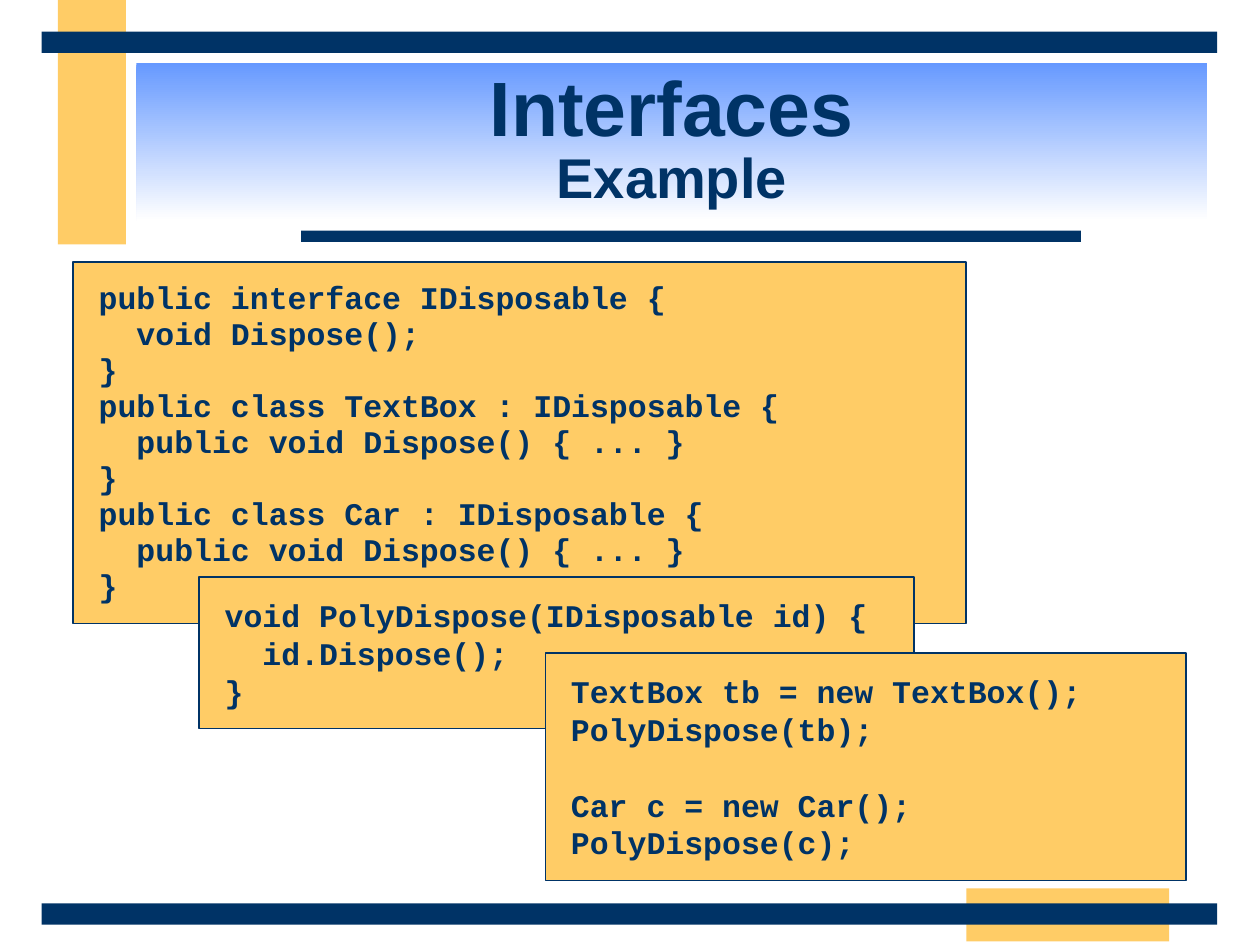
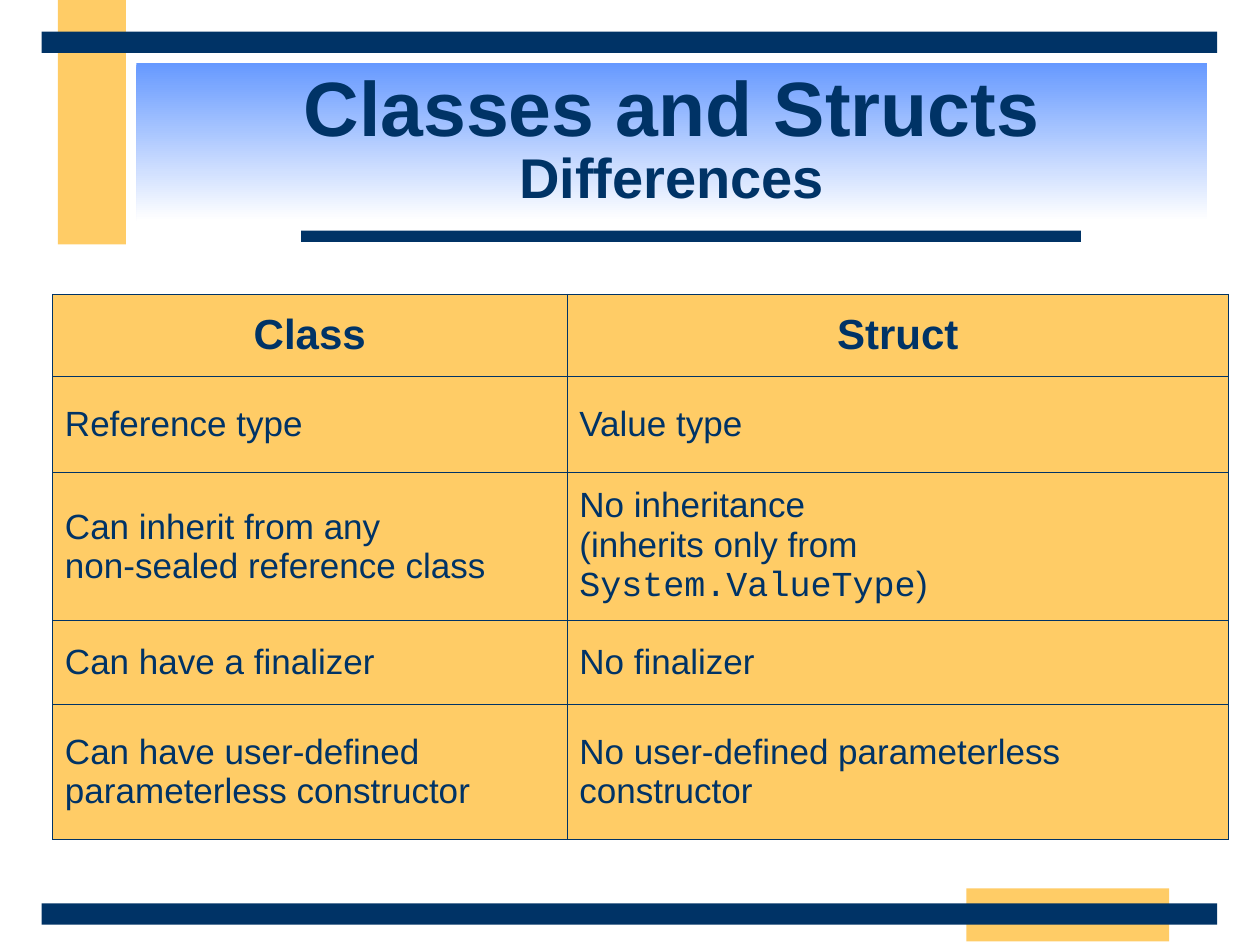
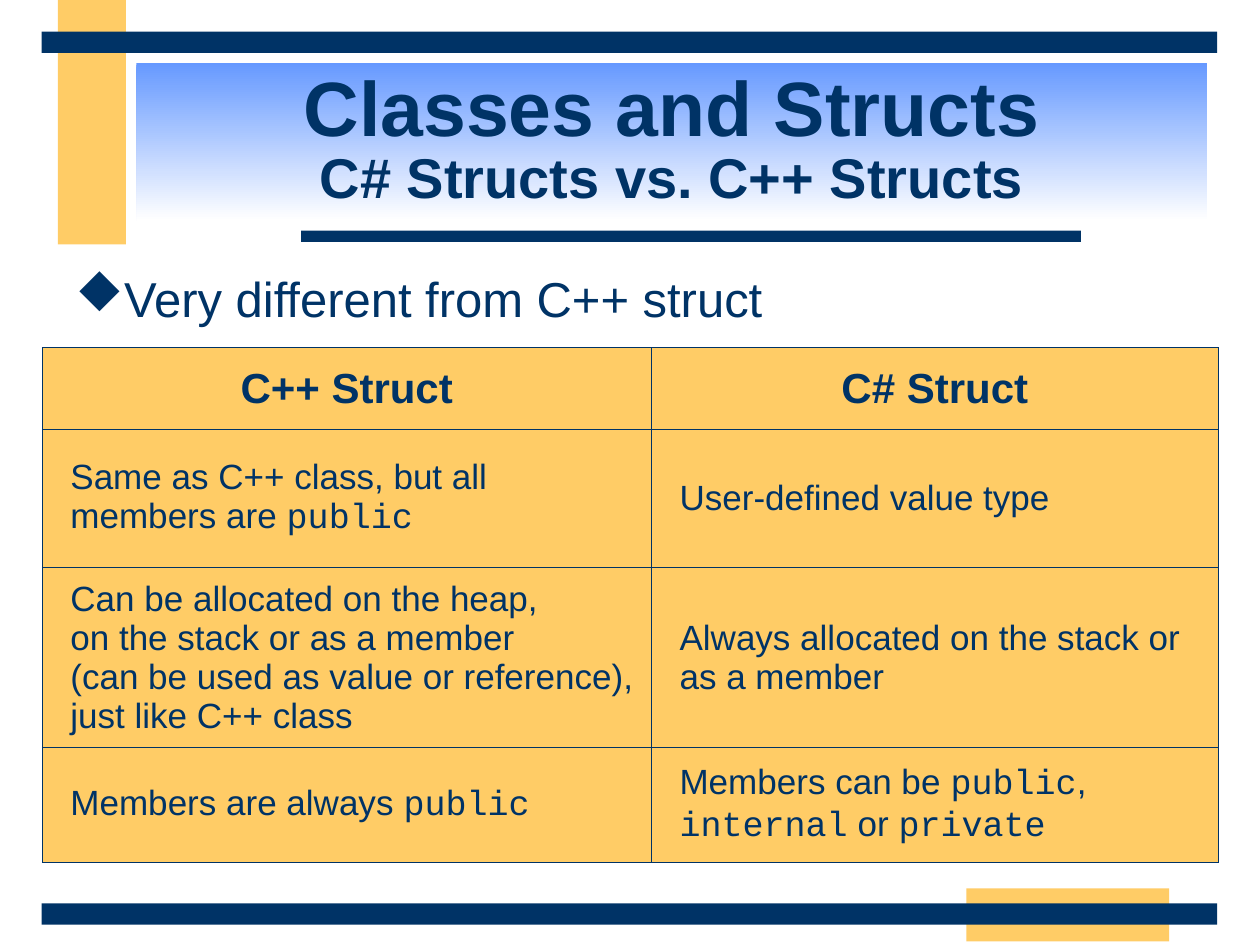
from lxml import etree
from pptx import Presentation
from pptx import util as u
from pptx.dml.color import RGBColor
from pptx.enum import shapes, text
from pptx.oxml import ns

NAVY = RGBColor(0x00, 0x33, 0x66)
AMBER = RGBColor(0xFF, 0xCC, 0x66)
SKY = RGBColor(0x66, 0x99, 0xFF)
WHITE = RGBColor(0xFF, 0xFF, 0xFF)
SANS, MONO = "Arial", "Courier New"
DIAMOND_FONT, DIAMOND = "Wingdings", "u"

BANDS = [
    (AMBER, 1.17, 0, 1.37, 4.93),
    (AMBER, 19.48, 17.91, 4.09, 1.07),
    (NAVY, 6.07, 4.65, 15.72, 0.23),
    (NAVY, 0.84, 18.21, 23.7, 0.43),
    (NAVY, 0.84, 0.64, 23.7, 0.43),
]
TITLE_BOX = (2.75, 1.27, 21.59, 3.18)
CODE_LINE_HEIGHT = u.Pt(21.6)

INTERFACE_CODE = """public interface IDisposable {
  void Dispose();
}
public class TextBox : IDisposable {
  public void Dispose() { ... }
}
public class Car : IDisposable {
  public void Dispose() { ... }
}"""
POLY_CODE = """void PolyDispose(IDisposable id) {
  id.Dispose();
}"""
USAGE_CODE = """TextBox tb = new TextBox();
PolyDispose(tb);

Car c = new Car();
PolyDispose(c);"""

SLIDES = [
    {
        "title": ("Interfaces", "Example"),
        "listings": [
            (INTERFACE_CODE, (1.48, 5.29, 17.99, 7.28), 0.95),
            (POLY_CODE, (4.02, 11.64, 14.4, 3.05), 1.0),
            (USAGE_CODE, (11.0, 13.17, 12.91, 4.58), 1.0),
        ],
    },
    {
        "title": ("Classes and Structs", "Differences"),
        "comparison": {
            "corner": (1.06, 5.93),
            "widths": (10.37, 13.34),
            "heights": (1.65, 1.95, 2.97, 1.7, 2.72),
            "indent": 0.25,
            "rows": [
                ("Class", "Struct"),
                ("Reference type", "Value type"),
                ("Can inherit from any\nnon-sealed reference class",
                 "No inheritance\n(inherits only from `System.ValueType`)"),
                ("Can have a finalizer", "No finalizer"),
                ("Can have user-defined parameterless constructor",
                 "No user-defined parameterless constructor"),
            ],
        },
    },
    {
        "title": ("Classes and Structs", "C# Structs vs. C++ Structs"),
        "point": "Very different from C++ struct",
        "comparison": {
            "corner": (0.85, 7.01),
            "widths": (12.28, 11.43),
            "heights": (1.65, 2.78, 3.63, 2.31),
            "indent": 0.57,
            "rows": [
                ("C++ Struct", "C# Struct"),
                ("Same as C++ class, but all members are `public`",
                 "User-defined value type"),
                ("Can be allocated on the heap,\non the stack or as a member\n"
                 "(can be used as value or reference), just like C++ class",
                 "Always allocated on the stack or\nas a member"),
                ("Members are always `public`",
                 "Members can be `public`, `internal` or `private`"),
            ],
        },
    },
]


def cms(lengths):
    return [u.Cm(length) for length in lengths]


def set_font(font, size, name=SANS, bold=False):
    font.size, font.name, font.bold = u.Pt(size), name, bold
    font.color.rgb = NAVY


def add_rectangle(slide, place, fill=None):
    rectangle = slide.shapes.add_shape(shapes.MSO_SHAPE.RECTANGLE, *cms(place))
    rectangle.shadow.inherit = False
    rectangle.line.fill.background()
    if fill is not None:
        rectangle.fill.solid()
        rectangle.fill.fore_color.rgb = fill
    return rectangle


def add_title(slide, lines):
    banner = add_rectangle(slide, TITLE_BOX)
    banner.fill.gradient()
    banner.fill.gradient_angle = 270
    for position, (stop, color) in enumerate(zip(banner.fill.gradient_stops, (SKY, WHITE))):
        stop.position, stop.color.rgb = position, color
    frame = banner.text_frame
    frame.word_wrap = True
    frame.vertical_anchor = text.MSO_ANCHOR.MIDDLE
    frame.text = "\n".join(lines)
    for paragraph, size in zip(frame.paragraphs, (44, 32)):
        paragraph.alignment = text.PP_ALIGN.CENTER
        paragraph.line_spacing = 0.85
        set_font(paragraph.font, size, bold=True)


def add_listing(slide, code, place, spacing):
    listing = add_rectangle(slide, place, AMBER)
    listing.line.color.rgb = NAVY
    listing.line.width = u.Pt(1)
    frame = listing.text_frame
    frame.word_wrap = True
    frame.vertical_anchor = text.MSO_ANCHOR.TOP
    frame.margin_left = frame.margin_right = u.Cm(0.51)
    frame.margin_top = frame.margin_bottom = u.Cm(0.38)
    lines = code.split("\n")
    frame.text = "\n".join(line for line in lines if line)
    after_gap = [not before for before, line in zip(["start"] + lines, lines) if line]
    for paragraph, gap in zip(frame.paragraphs, after_gap):
        paragraph.alignment = text.PP_ALIGN.LEFT
        paragraph.line_spacing = spacing
        if gap:
            paragraph.space_before = CODE_LINE_HEIGHT
        set_font(paragraph.font, 18, MONO, True)


def add_point(slide, point):
    box = slide.shapes.add_textbox(*cms((1.27, 5.29, 22.86, 1.6)))
    box.text_frame.word_wrap = True
    paragraph = box.text_frame.paragraphs[0]
    paragraph.text = point
    properties = paragraph._p.get_or_add_pPr()
    properties.set("marL", str(u.Cm(0.95)))
    properties.set("indent", str(-u.Cm(0.95)))
    color = etree.SubElement(properties, ns.qn("a:buClr"))
    etree.SubElement(color, ns.qn("a:srgbClr"), val=str(NAVY))
    etree.SubElement(properties, ns.qn("a:buFont"), typeface=DIAMOND_FONT,
                     pitchFamily="2", charset="2")
    etree.SubElement(properties, ns.qn("a:buChar"), char=DIAMOND)
    set_font(paragraph.font, 28)


def add_borders(cell):
    properties = cell._tc.get_or_add_tcPr()
    for index, side in enumerate(("lnL", "lnR", "lnT", "lnB")):
        border = etree.Element(ns.qn(f"a:{side}"), w=str(u.Pt(0.45)))
        fill = etree.SubElement(border, ns.qn("a:solidFill"))
        etree.SubElement(fill, ns.qn("a:srgbClr"), val=str(NAVY))
        properties.insert(index, border)


def write_cell(cell, content, heading, indent):
    cell.fill.solid()
    cell.fill.fore_color.rgb = AMBER
    add_borders(cell)
    cell.vertical_anchor = text.MSO_ANCHOR.MIDDLE
    paragraph = cell.text_frame.paragraphs[0]
    size = 24 if heading else 20
    if heading:
        paragraph.alignment = text.PP_ALIGN.CENTER
    else:
        cell.margin_left = u.Cm(indent)
    set_font(paragraph.font, size, bold=heading)
    for part, phrase in enumerate(content.split("`")):
        for number, line in enumerate(phrase.split("\n")):
            if number:
                paragraph.add_line_break()
            if line:
                run = paragraph.add_run()
                run.text = line
                set_font(run.font, size, MONO if part % 2 else SANS, heading)


def add_comparison(slide, corner, widths, heights, indent, rows):
    frame = slide.shapes.add_table(len(rows), len(widths),
                                   *cms((*corner, sum(widths), sum(heights))))
    table = frame.table
    table.first_row = table.horz_banding = False
    for column, width in zip(table.columns, cms(widths)):
        column.width = width
    for row, height in zip(table.rows, cms(heights)):
        row.height = height
    for r, contents in enumerate(rows):
        for c, content in enumerate(contents):
            write_cell(table.cell(r, c), content, r == 0, indent)


def main():
    deck = Presentation()
    deck.slide_width, deck.slide_height = cms((25.4, 19.05))
    for content in SLIDES:
        slide = deck.slides.add_slide(deck.slide_layouts[6])
        for color, *place in BANDS:
            add_rectangle(slide, place, color)
        add_title(slide, content["title"])
        for listing in content.get("listings", []):
            add_listing(slide, *listing)
        if "comparison" in content:
            add_comparison(slide, **content["comparison"])
        if "point" in content:
            add_point(slide, content["point"])
    deck.save("out.pptx")


if __name__ == "__main__":
    main()
